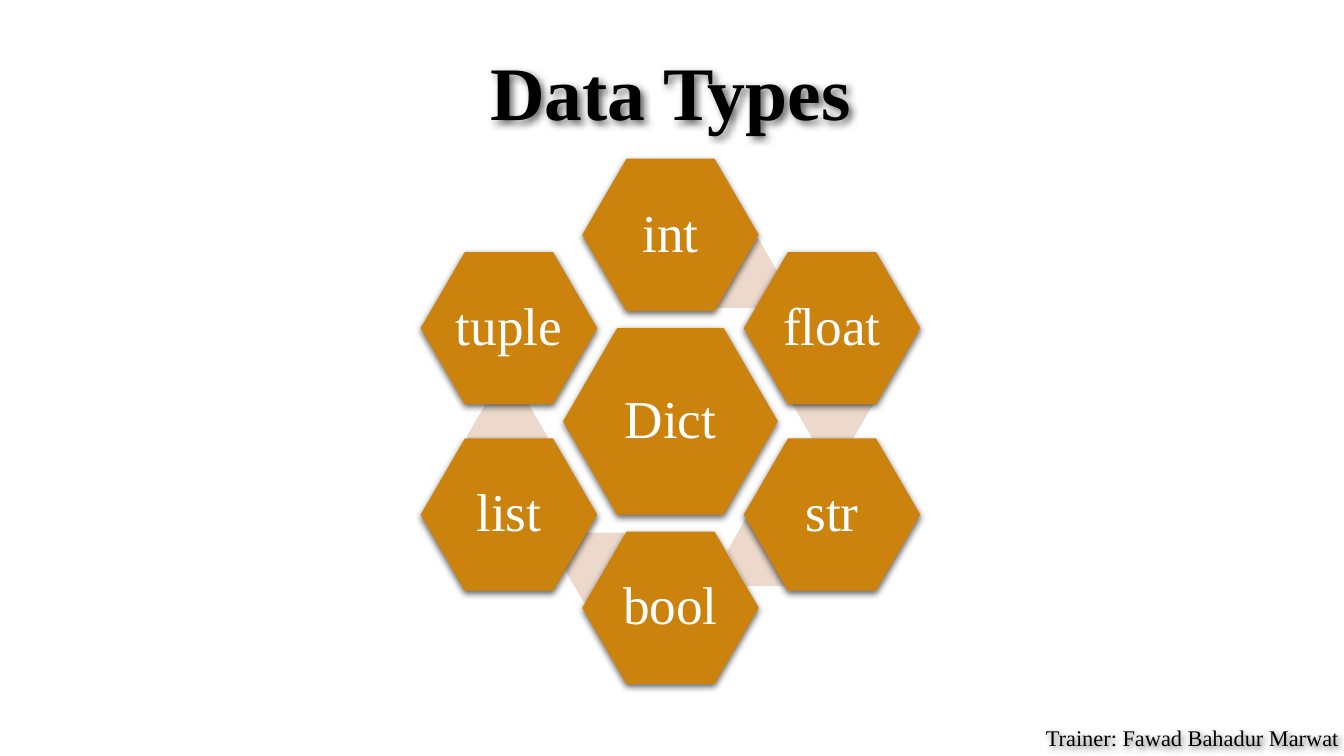
from math import cos, radians, sin

from lxml.etree import SubElement
from pptx import Presentation
from pptx.dml.color import RGBColor
from pptx.enum.shapes import MSO_SHAPE
from pptx.enum.text import MSO_ANCHOR, PP_ALIGN
from pptx.oxml.ns import qn
from pptx.util import Inches, Pt


def rgb(value):
    return RGBColor.from_string(value)


class Deck:
    font = "Times New Roman"
    ink, outline, white = "000000", "404040", "FFFFFF"
    node_fill, accent_fill = "CC830E", "ECD9CC"

    def __init__(self, prs):
        self.s = prs.slides.add_slide(prs.slide_layouts[6])

    def color(self, parent, value, alpha):
        clr = SubElement(parent, qn("a:srgbClr"), val=value)
        SubElement(clr, qn("a:alpha"), val=str(alpha * 1000))

    def shadow(self, sp, angle=90):
        sp.shadow.inherit = False
        effects = sp.element.spPr.find(qn("a:effectLst"))
        outer = SubElement(effects, qn("a:outerShdw"), blurRad=str(Pt(5)),
                           dist=str(Pt(2)), dir=str(angle * 60000),
                           algn="ctr", rotWithShape="0")
        self.color(outer, self.ink, 60)

    def run(self, tf, text, size, color, spacing, bold=False):
        p = tf.paragraphs[0]
        p.alignment = PP_ALIGN.CENTER
        p.line_spacing = spacing
        r = p.add_run()
        r.text = text
        r.font.name = self.font
        r.font.size = Pt(size)
        r.font.bold = bold
        r.font.color.rgb = rgb(color)
        return r

    def text(self, text, box, size, spacing, anchor, bold=False):
        sp = self.s.shapes.add_textbox(*map(Inches, box))
        self.shadow(sp, 45)
        tf = sp.text_frame
        tf.word_wrap = True
        tf.vertical_anchor = anchor
        r = self.run(tf, text, size, self.ink, spacing, bold)
        props = r._r.get_or_add_rPr()
        ln = SubElement(props, qn("a:ln"), w=str(Pt(0.75)))
        props.insert(0, ln)
        self.color(SubElement(ln, qn("a:solidFill")), self.outline, 10)

    def hexagon(self, cx, cy, w, h, fill, adj):
        sp = self.s.shapes.add_shape(
            MSO_SHAPE.HEXAGON, Inches(cx - w / 2), Inches(cy - h / 2), Inches(w), Inches(h))
        sp.adjustments[0] = adj
        sp.fill.solid()
        sp.fill.fore_color.rgb = rgb(fill)
        sp.line.fill.background()
        sp.shadow.inherit = False
        return sp

    def accent(self, cx, cy):
        self.hexagon(cx, cy, 0.8, 0.69, self.accent_fill, 0.29)

    def node(self, text, cx, cy, w, h):
        sp = self.hexagon(cx, cy, w, h, self.node_fill, 0.29)
        self.shadow(sp)
        tf = sp.text_frame
        tf.word_wrap = False
        tf.vertical_anchor = MSO_ANCHOR.MIDDLE
        tf.margin_left = tf.margin_right = tf.margin_top = tf.margin_bottom = Inches(0.05)
        self.run(tf, text, 38, self.white, 0.9)


def main():
    prs = Presentation()
    prs.slide_width, prs.slide_height = Inches(13.33), Inches(7.5)
    deck = Deck(prs)
    deck.text("Data Types", (0.51, 0.11, 12.28, 1.3), 54, 0.9, MSO_ANCHOR.BOTTOM, True)
    deck.text("Trainer: Fawad Bahadur Marwat", (10.18, 7.11, 3.29, 0.5), 16, 1.1, MSO_ANCHOR.TOP)

    cx, cy, radius = 6.65, 4.18, 1.85
    deck.node("Dict", cx, cy, 2.13, 1.85)
    ring = [("int", (0.67, -1.47)), ("float", (1.61, -0.17)), ("str", (0.96, 1.29)),
            ("bool", (-0.66, 1.45)), ("list", (-1.62, 0.15)), ("tuple", None)]
    for i, (name, offset) in enumerate(ring):
        if offset:
            deck.accent(cx + offset[0], cy + offset[1])
        angle = radians(60 * i)
        deck.node(name, cx + radius * sin(angle), cy - radius * cos(angle), 1.75, 1.51)
    prs.save("out.pptx")


if __name__ == "__main__":
    main()
